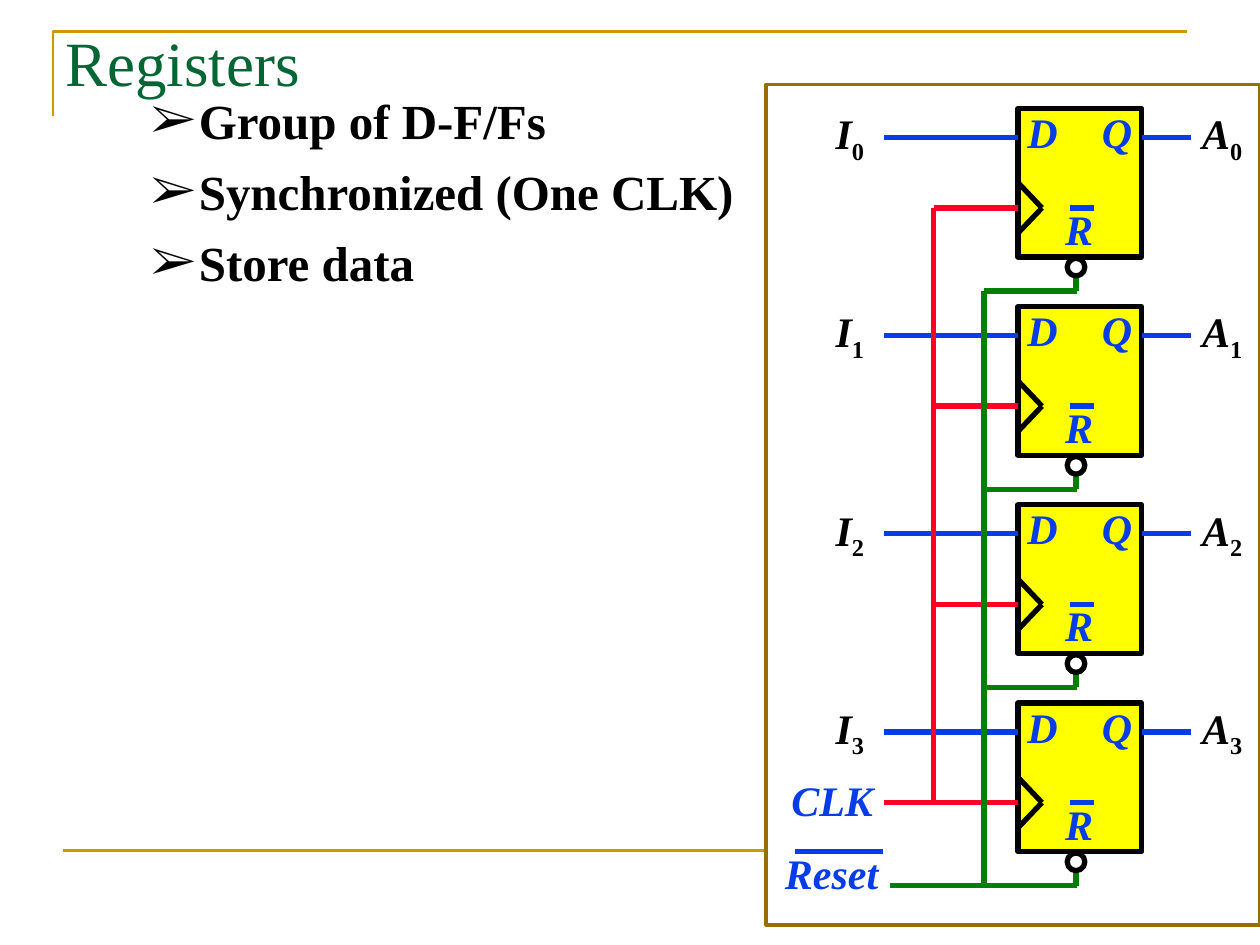
from dataclasses import dataclass

from lxml.etree import SubElement
from pptx import Presentation
from pptx.dml.color import RGBColor
from pptx.enum.shapes import MSO_CONNECTOR as Connector, MSO_SHAPE as Shape
from pptx.enum.text import MSO_ANCHOR as Anchor, MSO_AUTO_SIZE as AutoSize, PP_ALIGN as Align
from pptx.oxml.ns import qn
from pptx.shapes.shapetree import GroupShapes
from pptx.slide import Slide
from pptx.text.text import Font
from pptx.util import Inches, Pt


@dataclass(frozen=True)
class Theme:
    font: str = "Times New Roman"
    title: str = "006633"
    frame: str = "CC9900"
    panel_edge: str = "956F00"
    black: str = "000000"
    white: str = "FFFFFF"
    chip: str = "FFFF00"
    data: str = "063DE8"
    clock: str = "FC0128"
    reset: str = "008000"
    title_size: int = 36
    bullet_size: int = 28
    label_size: int = 24
    frame_width: float = 1.5
    panel_width: float = 2
    wire_width: float = 3


@dataclass(frozen=True)
class Box:
    left: float
    top: float
    width: float
    height: float

    def lengths(self) -> list[int]:
        return [Inches(value) for value in (self.left, self.top, self.width, self.height)]


@dataclass(frozen=True)
class Wire:
    x1: float
    y1: float
    x2: float
    y2: float
    color: str


THEME = Theme()
BULLETS = ("Group of D-F/Fs", "Synchronized (One CLK)", "Store data")

# Diagram grid: four flip-flops, evenly spaced
STAGES = 4
FIRST_TOP = 0.86
PITCH = 4.72 / 3
CHIP_LEFT, CHIP_WIDTH, CHIP_HEIGHT = 8.08, 0.98, 1.18
CHIP_RIGHT = CHIP_LEFT + CHIP_WIDTH
INPUT_X, CLOCK_X, RESET_X, DROP_X = 7.02, 7.41, 7.81, 8.54
DATA_DY, CLOCK_DY, RESET_DY = 0.23, 0.79, 1.45
TOPS = [FIRST_TOP + PITCH * stage for stage in range(STAGES)]


def style_font(font: Font, size: int, color: str, bold: bool = False, italic: bool = False) -> None:
    font.name, font.size = THEME.font, Pt(size)
    font.bold, font.italic = bold, italic
    font.color.rgb = RGBColor.from_string(color)


def add_wire(shapes: GroupShapes, wire: Wire, width: float = THEME.wire_width) -> None:
    ends = [Inches(value) for value in (wire.x1, wire.y1, wire.x2, wire.y2)]
    connector = shapes.add_connector(Connector.STRAIGHT, *ends)
    connector.line.color.rgb = RGBColor.from_string(wire.color)
    connector.line.width = Pt(width)
    SubElement(connector._element.spPr, qn("a:effectLst"))


def add_block(shapes: GroupShapes, kind: Shape, box: Box, fill: str, edge: str, width: float) -> None:
    block = shapes.add_shape(kind, *box.lengths())
    block.shadow.inherit = False
    block.fill.solid()
    block.fill.fore_color.rgb = RGBColor.from_string(fill)
    block.line.color.rgb = RGBColor.from_string(edge)
    block.line.width = Pt(width)


def add_label(shapes: GroupShapes, box: Box, text: str, color: str = THEME.data,
              subscript: str = "", wrap: bool = False) -> None:
    frame = shapes.add_textbox(*box.lengths()).text_frame
    frame.margin_left = frame.margin_right = frame.margin_top = frame.margin_bottom = 0
    frame.word_wrap = wrap
    frame.auto_size = AutoSize.SHAPE_TO_FIT_TEXT
    paragraph = frame.paragraphs[0]
    paragraph.alignment, paragraph.line_spacing = Align.CENTER, 0.9
    style_font(paragraph.font, THEME.label_size, color, bold=True, italic=True)
    paragraph.add_run().text = text
    if subscript:
        run = paragraph.add_run()
        run.text = subscript
        run.font.italic = False
        run.font._element.set("baseline", "-25000")


def add_flip_flop(shapes: GroupShapes, top: float, index: int) -> None:
    data_y, clock_y, reset_y = top + DATA_DY, top + CLOCK_DY, top + RESET_DY
    notch_x = CHIP_LEFT + 0.19
    add_wire(shapes, Wire(DROP_X, reset_y, DROP_X, top + 1.05, THEME.reset))
    add_block(shapes, Shape.RECTANGLE, Box(CHIP_LEFT, top, CHIP_WIDTH, CHIP_HEIGHT),
              THEME.chip, THEME.black, THEME.wire_width)
    add_block(shapes, Shape.OVAL, Box(8.47, top + 1.19, 0.14, 0.14),
              THEME.white, THEME.black, THEME.wire_width)

    # Clock notch, data wires, clock branch, bar over R and reset branch
    for wire in (
        Wire(CHIP_LEFT, clock_y - 0.2, notch_x, clock_y, THEME.black),
        Wire(notch_x, clock_y, CHIP_LEFT, clock_y + 0.2, THEME.black),
        Wire(CHIP_LEFT, data_y, INPUT_X, data_y, THEME.data),
        Wire(CHIP_LEFT, clock_y, CLOCK_X, clock_y, THEME.clock),
        Wire(9.45, data_y, CHIP_RIGHT, data_y, THEME.data),
        Wire(8.68, clock_y, 8.49, clock_y, THEME.data),
        Wire(DROP_X + 0.01, reset_y, RESET_X, reset_y, THEME.reset),
    ):
        add_wire(shapes, wire)

    # Pin names and numbered signals
    for text, left, offset in (("D", CHIP_LEFT, 0.03), ("Q", 8.67, 0.03), ("R", 8.37, 0.8)):
        add_label(shapes, Box(left, top + offset, 0.39, 0.36), text, wrap=True)
    for text, left, width in (("I", 6.63, 0.23), ("A", 9.54, 0.32)):
        add_label(shapes, Box(left, top, width, 0.41), text, THEME.black, str(index))


def add_frame(slide: Slide) -> None:
    builder = slide.shapes.build_freeform(Inches(0.42), Inches(0.92))
    builder.add_line_segments([(Inches(0.42), Inches(0.25)), (Inches(9.42), Inches(0.25))], close=False)
    corner = builder.convert_to_shape()
    corner.shadow.inherit = False
    corner.fill.background()
    corner.line.color.rgb = RGBColor.from_string(THEME.frame)
    corner.line.width = Pt(THEME.frame_width)
    add_wire(slide.shapes, Wire(0.5, 6.75, 9.5, 6.75, THEME.frame), THEME.frame_width)


def add_title(slide: Slide, text: str) -> None:
    title = slide.shapes.title
    title.left, title.top, title.width, title.height = Box(0.42, 0.14, 6.58, 0.78).lengths()
    frame = title.text_frame
    frame.text = text
    frame.vertical_anchor = Anchor.MIDDLE
    frame.margin_top, frame.margin_bottom = Inches(0.05), Inches(0.13)
    paragraph = frame.paragraphs[0]
    paragraph.alignment = Align.LEFT
    style_font(paragraph.font, THEME.title_size, THEME.title)


def add_bullets(slide: Slide) -> None:
    frame = slide.shapes.add_textbox(*Box(1.1, 0.67, 8.9, 6.67).lengths()).text_frame
    frame.word_wrap = True
    for index, text in enumerate(BULLETS):
        paragraph = frame.add_paragraph() if index else frame.paragraphs[0]
        paragraph.text = text
        paragraph.alignment = Align.JUSTIFY
        if index:
            paragraph.space_before = Pt(7)
        properties = paragraph._p.get_or_add_pPr()
        properties.set("marL", str(Inches(0.38)))
        properties.set("indent", str(-Inches(0.38)))
        bullet_color = SubElement(properties, qn("a:buClr"))
        SubElement(bullet_color, qn("a:srgbClr"), val=THEME.black)
        SubElement(properties, qn("a:buFont"), typeface=THEME.font)
        SubElement(properties, qn("a:buChar"), char="➢")
        style_font(paragraph.font, THEME.bullet_size, THEME.black, bold=True)


def add_register(slide: Slide) -> None:
    add_block(slide.shapes, Shape.RECTANGLE, Box(6.08, 0.67, 3.92, 6.67),
              THEME.white, THEME.panel_edge, THEME.panel_width)
    shapes = slide.shapes.add_group_shape().shapes
    for index, top in enumerate(TOPS):
        add_flip_flop(shapes, top, index)

    # Shared clock and reset lines
    clock_end, reset_end = TOPS[-1] + CLOCK_DY, TOPS[-1] + RESET_DY
    for wire in (
        Wire(CLOCK_X, FIRST_TOP + CLOCK_DY, CLOCK_X, clock_end, THEME.clock),
        Wire(RESET_X, FIRST_TOP + RESET_DY, RESET_X, reset_end, THEME.reset),
        Wire(RESET_X, reset_end, 7.06, reset_end, THEME.reset),
        Wire(CLOCK_X, clock_end, INPUT_X, clock_end, THEME.clock),
        Wire(7.01, 6.76, 6.31, 6.76, THEME.data),
    ):
        add_wire(shapes, wire)
    add_label(shapes, Box(6.28, 6.19, 0.65, 0.36), "CLK")
    add_label(shapes, Box(6.23, 6.77, 0.74, 0.36), "Reset")


def main() -> None:
    presentation = Presentation()
    presentation.slide_width, presentation.slide_height = Inches(10), Inches(7.5)
    slide = presentation.slides.add_slide(presentation.slide_layouts[5])
    add_frame(slide)
    add_title(slide, "Registers")
    add_bullets(slide)
    add_register(slide)
    presentation.save("out.pptx")


if __name__ == "__main__":
    main()
